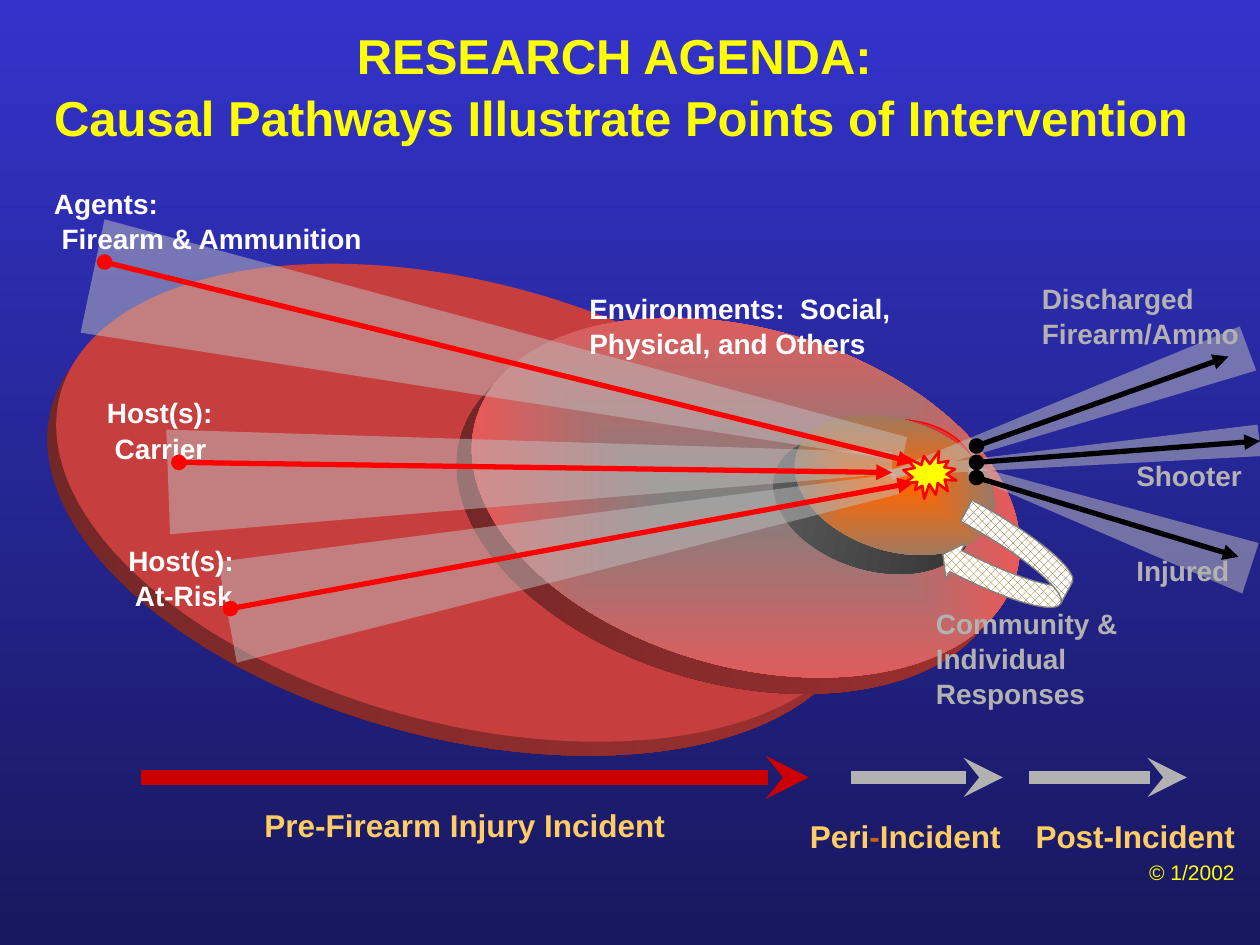
from lxml.etree import SubElement
from pptx import Presentation
from pptx.dml.color import RGBColor
from pptx.enum.dml import MSO_PATTERN
from pptx.enum.shapes import MSO_CONNECTOR, MSO_SHAPE
from pptx.enum.text import MSO_ANCHOR, PP_ALIGN
from pptx.oxml.ns import qn
from pptx.util import Inches, Pt

COLORS = {
    "top": "3333CC", "bottom": "18185E", "yellow": "FFFF00", "white": "FFFFFF",
    "silver": "B2B2B2", "beam": "C0C0C0", "gold": "FFCC66", "brown": "CC6600",
    "red": "FF0000", "crimson": "CC0000", "black": "000000", "gray": "808080",
    "coral": "FF5050", "orange": "FF6600", "brick": "C73E3E", "hatch": "996600",
    "maroon": "6E2626", "rust": "A03030", "charcoal": "303030", "slate": "606060",
}

TITLE = ["RESEARCH AGENDA:", " Causal Pathways Illustrate Points of Intervention"]
CREDIT = ["© 1/2002"]

DISCS = [
    {"center": (3.69, 3.99), "size": (6.65, 3.5), "turn": 15, "depth": (-0.07, 0.11),
     "face": ("brick", "brick"), "side": ("maroon", "rust")},
    {"center": (5.92, 3.95), "size": (4.46, 2.68), "turn": 16, "depth": (-0.12, 0.13),
     "face": ("gray", "coral"), "side": ("maroon", "rust")},
    {"center": (7.1, 3.85), "size": (1.63, 1.04), "turn": 18, "depth": (-0.17, 0.15),
     "face": ("orange", "gray"), "side": ("slate", "charcoal")},
]

BEAMS = [
    [(9.84, 2.59), (7.06, 3.74), (7.08, 3.81), (9.97, 2.94)],
    [(9.98, 3.37), (7, 3.73), (7.01, 3.78), (10.01, 3.62)],
    [(9.99, 4.31), (7.7, 3.69), (7.68, 3.77), (9.86, 4.71)],
    [(0.64, 2.64), (7.16, 3.66), (7.2, 3.47), (0.83, 1.74)],
    [(1.35, 4.24), (7.08, 3.76), (7.08, 3.59), (1.32, 3.41)],
    [(1.88, 5.26), (7.14, 3.92), (7.11, 3.76), (1.73, 4.46)],
]

LABELS = [
    (["Agents:", " Firearm & Ammunition"], (0.33, 1.42, 2.92, 0.58), "white", 16),
    (["Host(s):", " Carrier"], (0.75, 3.08, 1.08, 0.5), "white", 16),
    (["Host(s):", " At-Risk"], (0.92, 4.25, 1.17, 0.58), "white", 16),
    (["Environments:  Social, Physical, and Others"], (4.58, 2.25, 2.67, 0.5), "white", 16),
    (["Discharged", "Firearm/Ammo"], (8.17, 2.17, 1.83, 0.5), "silver", 16),
    (["Shooter"], (8.92, 3.58, 1.08, 0.25), "silver", 16),
    (["Injured"], (8.92, 4.33, 1.08, 0.33), "silver", 16),
    (["Community & Individual Responses"], (7.33, 4.75, 1.92, 0.67), "silver", 16),
    (["Pre-Firearm Injury Incident"], (2, 6.33, 3.83, 0.42), "gold", 18),
    ([[("Peri", "gold"), ("-", "brown"), ("Incident", "gold")]],
     (6.33, 6.42, 1.75, 0.29), "gold", 18),
    (["Post-Incident"], (8.12, 6.42, 1.88, 0.17), "gold", 18),
]

PATHWAYS = [
    ((1.83, 4.83), (7.25, 3.83), "red"),
    ((1.42, 3.67), (7.08, 3.75), "red"),
    ((0.83, 2.08), (7.25, 3.67), "red"),
    ((7.75, 3.54), (9.75, 2.83), "black"),
    ((7.75, 3.67), (10, 3.5), "black"),
    ((7.75, 3.79), (9.83, 4.42), "black"),
]

PHASE_Y = 6.17
PHASES = [
    (1.12, 6.42, "crimson", 8.25),
    (6.75, 7.96, "silver", 7.5),
    (8.17, 9.42, "silver", 7.5),
]


def rgb(name):
    return RGBColor.from_string(COLORS[name])


def set_fill(fill, *names, angle=0):
    if len(set(names)) == 1:
        fill.solid()
        fill.fore_color.rgb = rgb(names[0])
        return
    fill.gradient()
    fill.gradient_angle = angle
    for stop, name in zip(fill.gradient_stops, names):
        stop.color.rgb = rgb(name)


def set_alpha(shape, percent):
    color = shape._element.spPr.find(qn("a:solidFill"))[0]
    SubElement(color, qn("a:alpha"), val=str(percent * 1000))


def make_radial(shape):
    gradient = shape._element.spPr.find(qn("a:gradFill"))
    if gradient is None:
        return
    gradient.remove(gradient.find(qn("a:lin")))
    radial = SubElement(gradient, qn("a:path"))
    radial.set("path", "shape")
    SubElement(radial, qn("a:fillToRect"), l="50000", t="50000", r="50000", b="50000")


def write_text(shape, lines, size=16, color="white", bold=True,
               align=PP_ALIGN.LEFT, anchor=MSO_ANCHOR.TOP):
    frame = shape.text_frame
    frame.word_wrap = True
    frame.vertical_anchor = anchor
    for index, line in enumerate(lines):
        paragraph = frame.add_paragraph() if index else frame.paragraphs[0]
        paragraph.alignment = align
        paragraph.line_spacing = 1.05
        pieces = [(line, color)] if isinstance(line, str) else line
        for text, piece_color in pieces:
            run = paragraph.add_run()
            run.text = text
            run.font.name = "Arial"
            run.font.size = Pt(size)
            run.font.bold = bold
            run.font.color.rgb = rgb(piece_color)


def add_shape(slide, kind, box, turn=0):
    shape = slide.shapes.add_shape(kind, *map(Inches, box))
    shape.shadow.inherit = False
    shape.rotation = turn
    shape.line.fill.background()
    return shape


def outline(shape, color, width):
    shape.line.color.rgb = rgb(color)
    shape.line.width = Pt(width)


def add_disc(slide, center, size, turn, depth, face, side):
    left, top = (middle - extent / 2 for middle, extent in zip(center, size))
    base = add_shape(slide, MSO_SHAPE.OVAL, (left + depth[0], top + depth[1], *size), turn)
    set_fill(base.fill, *side)
    cover = add_shape(slide, MSO_SHAPE.OVAL, (left, top, *size), turn)
    set_fill(cover.fill, *face)
    make_radial(cover)


def add_beam(slide, points):
    builder = slide.shapes.build_freeform(*map(Inches, points[0]))
    builder.add_line_segments([tuple(map(Inches, point)) for point in points[1:]], close=True)
    beam = builder.convert_to_shape()
    beam.shadow.inherit = False
    beam.line.fill.background()
    set_fill(beam.fill, "beam")
    set_alpha(beam, 50)


def add_arrow(slide, start, end, color, width=3, head="oval", tail="triangle"):
    arrow = slide.shapes.add_connector(MSO_CONNECTOR.STRAIGHT, *map(Inches, (*start, *end)))
    outline(arrow, color, width)
    line = arrow.line._get_or_add_ln()
    SubElement(line, qn("a:headEnd"), type=head)
    SubElement(line, qn("a:tailEnd"), type=tail)
    SubElement(arrow._element.spPr, qn("a:effectLst"))


def main():
    presentation = Presentation()
    presentation.slide_width, presentation.slide_height = Inches(10), Inches(7.5)
    slide = presentation.slides.add_slide(presentation.slide_layouts[5])
    set_fill(slide.background.fill, "top", "bottom", angle=270)

    title = slide.shapes.title
    title.left, title.top, title.width, title.height = map(Inches, (0, 0.13, 9.75, 1.37))
    write_text(title, TITLE, size=28, color="yellow", align=PP_ALIGN.CENTER)

    for disc in DISCS[:2]:
        add_disc(slide, **disc)
    glow = add_shape(slide, MSO_SHAPE.OVAL, (6.5, 3.33, 1.25, 0.91))
    set_fill(glow.fill, "red")
    set_alpha(glow, 50)
    outline(glow, "red", 0.75)
    add_disc(slide, **DISCS[2])

    for points in BEAMS:
        add_beam(slide, points)

    response = add_shape(slide, MSO_SHAPE.CURVED_LEFT_ARROW, (7.5, 4.17, 1.01, 0.65), 28.4)
    for index, value in enumerate((0.295, 0.495, 0.177)):
        response.adjustments[index] = value
    response.fill.patterned()
    response.fill.pattern = MSO_PATTERN.PERCENT_50
    response.fill.fore_color.rgb = rgb("hatch")
    response.fill.back_color.rgb = rgb("white")
    outline(response, "gray", 0.75)

    burst = add_shape(slide, MSO_SHAPE.EXPLOSION1, (7.17, 3.58, 0.42, 0.38))
    set_fill(burst.fill, "yellow")
    outline(burst, "red", 1.5)

    for lines, box, color, size in LABELS:
        write_text(slide.shapes.add_textbox(*map(Inches, box)), lines, size=size, color=color)
    credit = slide.shapes.add_textbox(*map(Inches, (8.92, 6.75, 1.08, 0.33)))
    write_text(credit, CREDIT, size=12, color="yellow", bold=False,
               align=PP_ALIGN.CENTER, anchor=MSO_ANCHOR.MIDDLE)

    for start, end, color in PATHWAYS:
        add_arrow(slide, start, end, color)
    for left, right, color, width in PHASES:
        add_arrow(slide, (left, PHASE_Y), (right, PHASE_Y), color, width, "none", "stealth")

    presentation.save("out.pptx")


if __name__ == "__main__":
    main()
